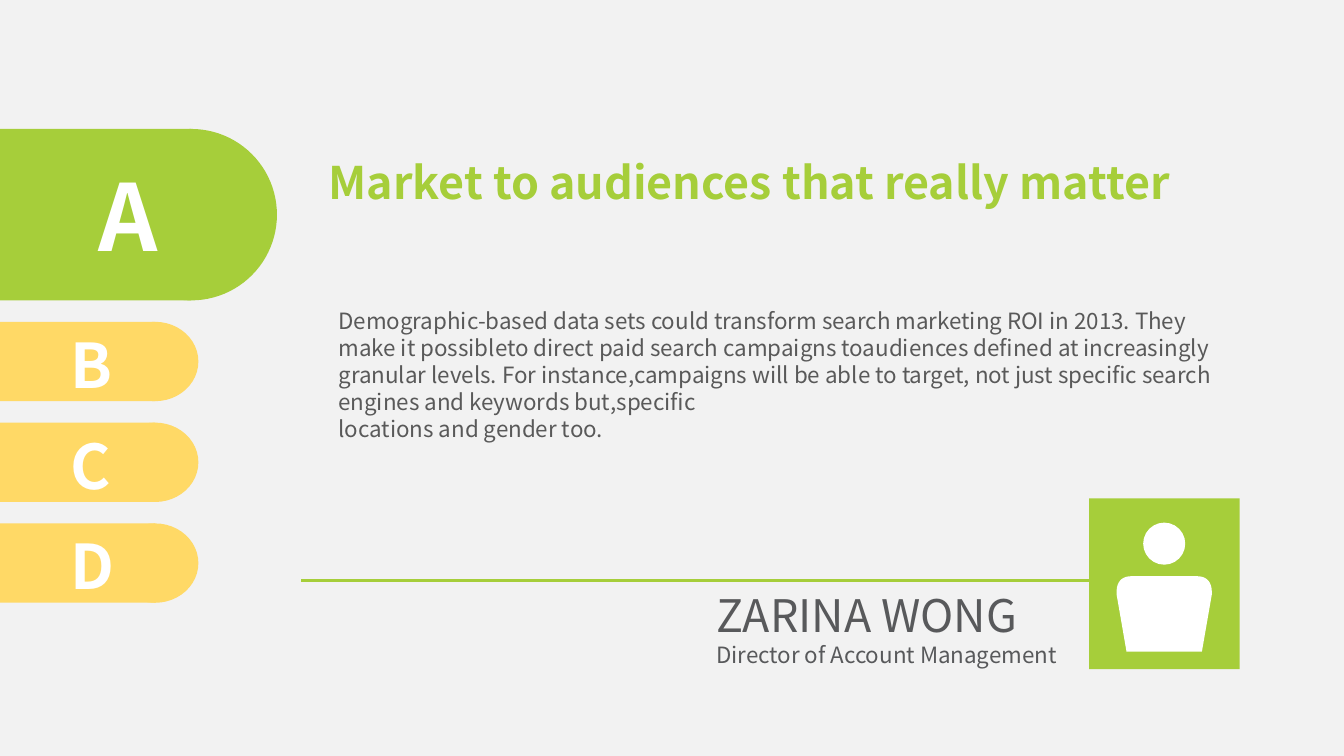
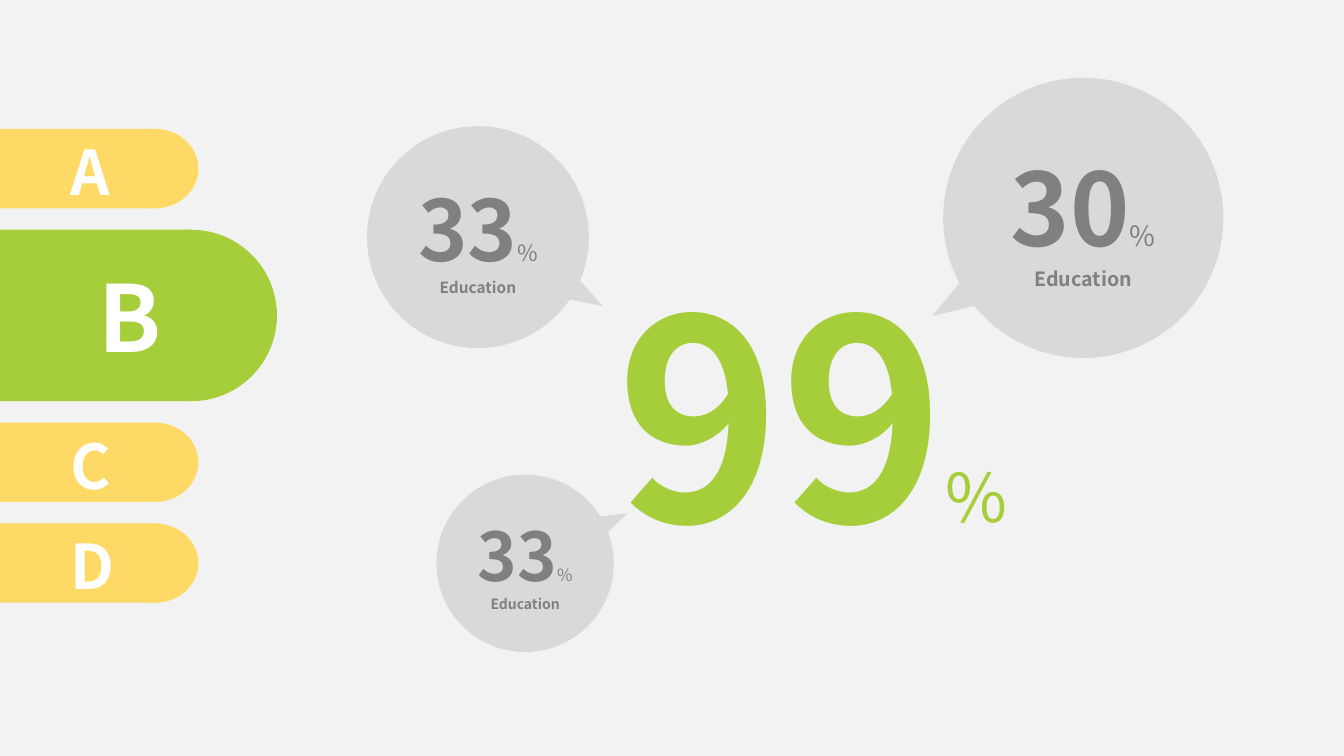
from math import cos, radians, sin

from pptx import Presentation
from pptx.dml.color import RGBColor
from pptx.enum.shapes import MSO_CONNECTOR, MSO_SHAPE
from pptx.enum.text import MSO_ANCHOR, MSO_AUTO_SIZE, PP_ALIGN
from pptx.oxml.ns import qn
from pptx.util import Cm, Pt

RECTANGLE = MSO_SHAPE.RECTANGLE
ELLIPSE = MSO_SHAPE.OVAL
TRIANGLE = MSO_SHAPE.ISOSCELES_TRIANGLE
STRAIGHT = MSO_CONNECTOR.STRAIGHT
TOP, MIDDLE = MSO_ANCHOR.TOP, MSO_ANCHOR.MIDDLE
LEFT, CENTER = PP_ALIGN.LEFT, PP_ALIGN.CENTER
NO_AUTOFIT = MSO_AUTO_SIZE.NONE

FONT = "Noto Sans CJK SC"
COLORS = {
    "background": "F2F2F2",
    "green": "A6CE3A",
    "yellow": "FFD966",
    "white": "FFFFFF",
    "bubble": "D9D9D9",
    "number": "808080",
    "body": "595959",
    "name": "58595B",
}
TITLE_ONLY, BLANK = 5, 6
TAB_TOP, TAB_GAP = 3.25, 0.54


def color(name):
    return RGBColor.from_string(COLORS[name])


class Slides:
    """Holds the deck style and draws elements on the current page, in centimetres."""

    def __init__(self):
        self.deck = Presentation()
        self.deck.slide_width, self.deck.slide_height = Cm(33.87), Cm(19.05)
        background = self.deck.slide_master.background.fill
        background.solid()
        background.fore_color.rgb = color("background")

    def add_page(self, layout):
        self.page = self.deck.slides.add_slide(self.deck.slide_layouts[layout])

    def paint(self, shape, fill):
        shape.shadow.inherit = False
        shape.fill.solid()
        shape.fill.fore_color.rgb = color(fill)
        shape.line.fill.background()

    def shape(self, kind, left, top, width, height, fill):
        shape = self.page.shapes.add_shape(kind, Cm(left), Cm(top), Cm(width), Cm(height))
        self.paint(shape, fill)
        return shape

    def fill_text(self, frame, lines, ink, align=LEFT):
        for index, spans in enumerate(lines):
            para = frame.paragraphs[0] if index == 0 else frame.add_paragraph()
            para.alignment = align
            para.font.name = FONT
            para.font.color.rgb = color(ink)
            for text, size, bold in spans:
                span = para.add_run()
                span.text = text
                span.font.size, span.font.bold = Pt(size), bold

    def text(self, left, top, width, height, lines, ink):
        box = self.page.shapes.add_textbox(Cm(left), Cm(top), Cm(width), Cm(height))
        box.text_frame.word_wrap = True
        self.fill_text(box.text_frame, lines, ink)

    def title(self, text):
        title = self.page.shapes.title
        title.left, title.top, title.width, title.height = Cm(8.28), Cm(3.96), Cm(22.07), Cm(2.34)
        frame = title.text_frame
        frame.auto_size = NO_AUTOFIT
        frame.word_wrap = False
        frame.vertical_anchor = TOP
        frame.margin_left = frame.margin_top = frame.margin_right = 0
        self.fill_text(frame, [[(text, 32, True)]], "green")
        frame.paragraphs[0].line_spacing = Pt(37)

    def line(self, left, right, y):
        line = self.page.shapes.add_connector(STRAIGHT, Cm(left), Cm(y), Cm(right), Cm(y))
        line.line.color.rgb = color("green")
        line.line.width = Pt(2.25)
        properties = line._element.spPr
        properties.append(properties.makeelement(qn("a:effectLst"), {}))

    def tab(self, letter, top, active):
        if active:
            width, height, cap, fill = 6.98, 4.32, 4.32, "green"
            letter_box, size = (2.24, top + 0.64, 4.37, 3.07), 66
        else:
            width, height, cap, fill = 5, 2, 2.18, "yellow"
            letter_box, size = (1.53, top, 1.83, 2.13), 44
        self.shape(RECTANGLE, 0, top, width - cap / 2, height, fill)
        self.shape(ELLIPSE, width - cap, top, cap, height, fill)
        self.text(*letter_box, [[(letter, size, True)]], "white")
        return height

    def tabs(self, current):
        top = TAB_TOP
        for letter in "ABCD":
            top += self.tab(letter, top, letter == current) + TAB_GAP

    def bubble(self, left, top, diameter, angle, number, sizes):
        number_size, percent_size, label_size = sizes
        circle = self.shape(ELLIPSE, left, top, diameter, diameter, "bubble")
        circle.text_frame.vertical_anchor = MIDDLE
        lines = [[(number, number_size, True), ("%", percent_size, False)],
                 [("Education", label_size, True)]]
        self.fill_text(circle.text_frame, lines, "number", CENTER)
        width, height, reach = 0.144 * diameter, 0.21 * diameter, 0.534 * diameter
        x = left + diameter / 2 + reach * cos(radians(angle)) - width / 2
        y = top + diameter / 2 + reach * sin(radians(angle)) - height / 2
        pointer = self.shape(TRIANGLE, x, y, width, height, "bubble")
        pointer.adjustments[0] = 0.77
        pointer.rotation = angle + 84

    def portrait(self, left, top):
        self.shape(RECTANGLE, left, top, 3.79, 4.3, "green")
        middle = left + 1.89
        self.shape(ELLIPSE, middle - 0.53, top + 0.61, 1.06, 1.06, "white")
        shoulder = []
        for step in range(11):
            t = step / 10
            across = 1.2 * (1 - t) ** 2 + 2.44 * t * (1 - t) + 0.82 * t ** 2
            shoulder.append((across, top + 1.96 + 0.46 * (1 - t) ** 2))
        bottom = top + 3.86
        outline = [(middle - across, y) for across, y in shoulder]
        outline += [(middle + across, y) for across, y in reversed(shoulder)]
        outline += [(middle + 0.95, bottom), (middle - 0.95, bottom)]
        points = [(Cm(x), Cm(y)) for x, y in outline]
        builder = self.page.shapes.build_freeform(*points[0])
        builder.add_line_segments(points[1:], close=True)
        self.paint(builder.convert_to_shape(), "white")


def main():
    slides = Slides()

    slides.add_page(TITLE_ONLY)
    slides.tabs("A")
    slides.title("Market to audiences that really matter")
    slides.text(8.28, 7.62, 22.96, 5.05, [
        [("Demographic-based data sets could transform search marketing ROI in 2013. "
          "They make it possibleto direct paid search campaigns toaudiences defined at "
          "increasingly granular levels. For instance,campaigns will be able to target, "
          "not just specific search engines and keywords but,specific", 16, False)],
        [("locations and gender too.", 16, False)],
    ], "body")
    slides.line(7.59, 30.56, 14.63)
    slides.portrait(27.45, 12.56)
    slides.text(17.8, 14.68, 9.65, 2.31, [
        [("ZARINA WONG", 32, False)],
        [("Director of Account Management", 16, False)],
    ], "name")

    slides.add_page(BLANK)
    slides.text(15.29, 6.02, 11.02, 8.76, [[("99", 199, True), ("%", 48, False)]], "green")
    slides.tabs("B")
    slides.bubble(23.77, 1.96, 7.06, 144.5, "30", (72, 20, 14))
    slides.bubble(9.25, 3.18, 5.59, 26.5, "33", (60, 16, 11))
    slides.bubble(11, 11.96, 4.47, -28.5, "33", (48, 12, 10))

    slides.deck.save("out.pptx")


if __name__ == "__main__":
    main()
